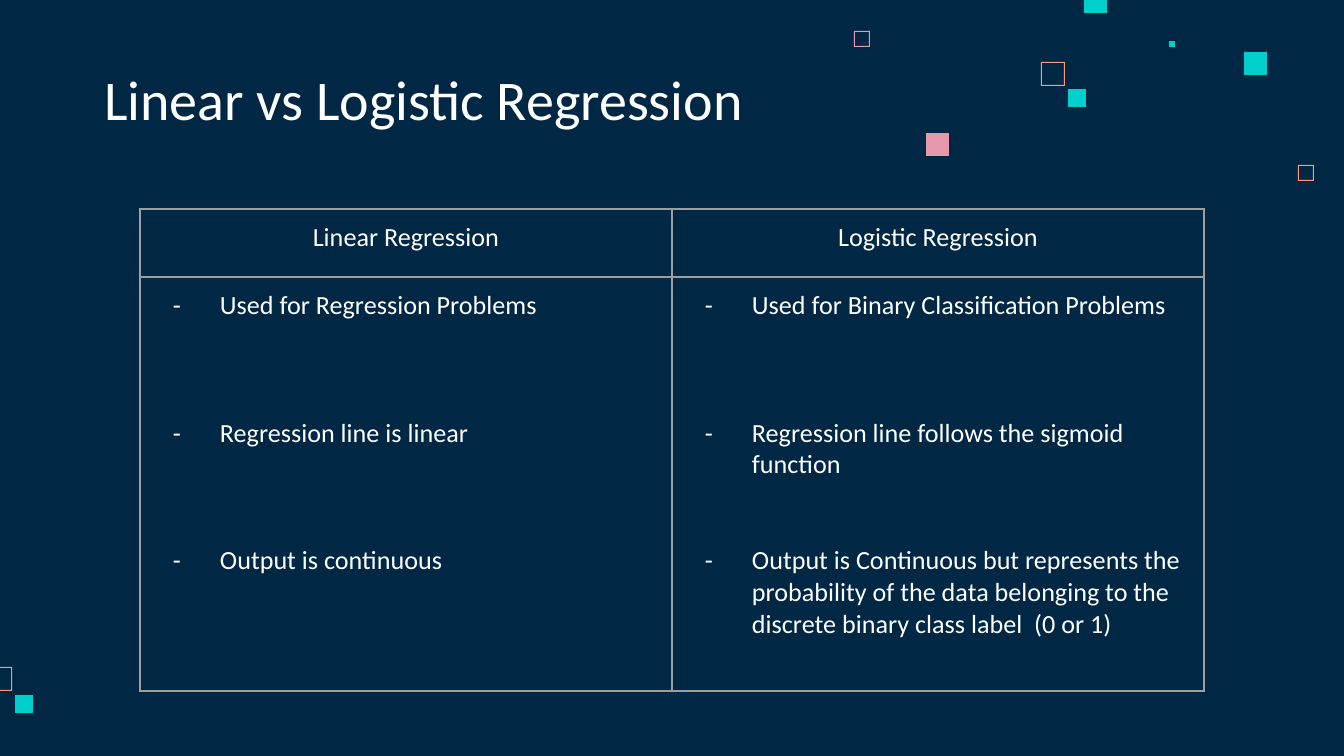
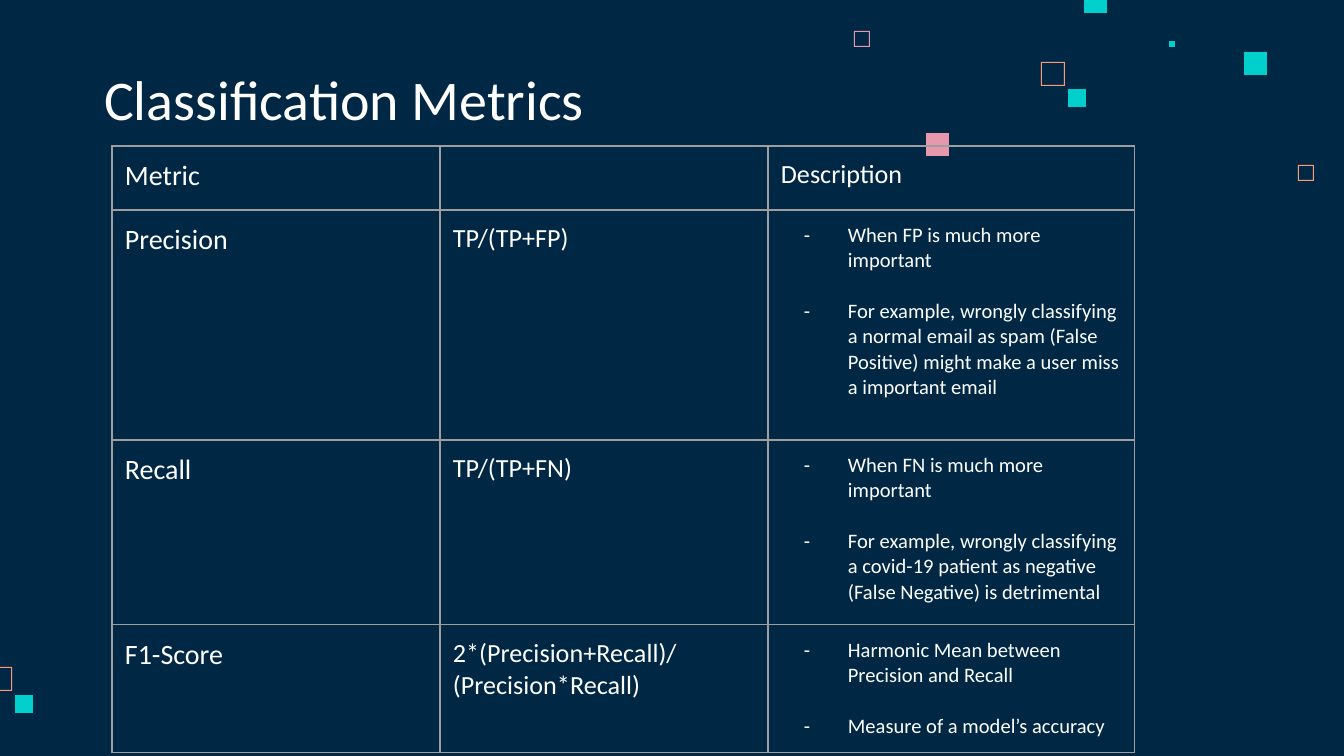
import pptx
import pptx.util
import pptx.dml.color
import pptx.enum.text
import lxml.etree

# Shared style
PX = 914400 / 134.4
FONT = "Calibri"
NAVY, WHITE, GREY = "002845", "FFFFFF", "9E9E9E"
TEAL, PINK, CORAL = "00CFCC", "E898AC", "FF9973"
INSET = 13
HANG = 67
EDGE = 1
TITLE = (91, 60, 695, 85)

# Squares: left, top, side, colour, hollow
SQUARES = [
    (1298, 165, 16, CORAL, True),
    (854, 31, 16, PINK, True),
    (1041, 62, 24, CORAL, True),
    (1169, 41, 6, TEAL, False),
    (1084, -10, 23, TEAL, False),
    (1244, 52, 23, TEAL, False),
    (1068, 89, 18, TEAL, False),
    (926, 133, 23, PINK, False),
    (-12, 667, 24, CORAL, True),
    (15, 695, 18, TEAL, False),
]

# A cell is a plain string or a list of (bullet, blank lines before it)
SLIDES = [
    {
        "title": "Linear vs Logistic Regression",
        "at": (140, 209),
        "cols": [532, 532],
        "rows": [68, 414],
        "sizes": [14, 14],
        "hang": 47,
        "center": True,
        "cells": [
            ["Linear Regression", "Logistic Regression"],
            [
                [("Used for Regression Problems", 0),
                 ("Regression line is linear", 3),
                 ("Output is continuous", 3)],
                [("Used for Binary Classification Problems", 0),
                 ("Regression line follows the sigmoid function", 3),
                 ("Output is Continuous but represents the probability of the "
                  "data belonging to the discrete binary class label  (0 or 1)", 2)],
            ],
        ],
    },
    {
        "title": "Classification Metrics",
        "at": (112, 146),
        "cols": [328, 328, 367],
        "rows": [64, 230, 185, 128],
        "sizes": [15, 14, 11],
        "hang": 44,
        "center": False,
        "cells": [
            ["Metric", "", "Description"],
            ["Precision", "TP/(TP+FP)",
             [("When FP is much more important", 0),
              ("For example, wrongly classifying a normal email as spam (False "
               "Positive) might make a user miss a important email", 1)]],
            ["Recall", "TP/(TP+FN)",
             [("When FN is much more important", 0),
              ("For example, wrongly classifying a covid-19 patient as negative "
               "(False Negative) is detrimental", 1)]],
            ["F1-Score", "2*(Precision+Recall)/(Precision*Recall)",
             [("Harmonic Mean between Precision and Recall", 0),
              ("Measure of a model’s accuracy", 1)]],
        ],
    },
]


def px(n):
    return pptx.util.Emu(round(n * PX))


def rgb(code):
    return pptx.dml.color.RGBColor.from_string(code)


def node(root, tag, **attrs):
    return lxml.etree.SubElement(root, pptx.oxml.ns.qn(tag), attrs)


def write(para, text, size):
    run = para.add_run()
    run.text = text
    run.font.name = FONT
    run.font.size = pptx.util.Pt(size)
    run.font.color.rgb = rgb(WHITE)


def pad(box):
    box.margin_left = box.margin_right = px(INSET)
    box.margin_top = box.margin_bottom = px(INSET)


def square(slide, x, y, side, color, hollow):
    def ring(lo, hi):
        return [(x + lo, y + lo), (x + lo, y + hi), (x + hi, y + hi), (x + hi, y + lo)]

    outer = ring(0, side)
    build = slide.shapes.build_freeform(*outer[0], scale=PX)
    build.add_line_segments(outer[1:], close=True)
    if hollow:
        inner = ring(EDGE, side - EDGE)[::-1]
        build.move_to(*inner[0])
        build.add_line_segments(inner[1:], close=True)
    shape = build.convert_to_shape()
    shape.shadow.inherit = False
    shape.fill.solid()
    shape.fill.fore_color.rgb = rgb(color)
    shape.line.fill.background()


def head(slide, text):
    frame = slide.shapes.add_textbox(*map(px, TITLE)).text_frame
    frame.word_wrap = True
    frame.vertical_anchor = pptx.enum.text.MSO_ANCHOR.BOTTOM
    pad(frame)
    write(frame.paragraphs[0], text, 30)


def border(cell):
    cell.fill.background()
    props = cell._tc.get_or_add_tcPr()
    for i, side in enumerate("LRTB"):
        line = node(props, "a:ln" + side, w="9525")
        node(node(line, "a:solidFill"), "a:srgbClr", val=GREY)
        props.insert(i, line)


def bullet(para, hang):
    props = para._p.get_or_add_pPr()
    props.set("marL", str(px(HANG)))
    props.set("indent", str(-px(hang)))
    node(node(props, "a:buClr"), "a:srgbClr", val=WHITE)
    node(props, "a:buFont", typeface=FONT)
    node(props, "a:buChar", char="-")


def fill(cell, item, size, hang, center):
    pad(cell)
    border(cell)
    frame = cell.text_frame
    para = frame.paragraphs[0]
    if isinstance(item, list):
        for i, (text, gap) in enumerate(item):
            if i:
                para = frame.add_paragraph()
                para.space_before = pptx.util.Pt(round(gap * size * 1.22, 1))
            bullet(para, hang)
            write(para, text, size)
    elif item:
        if center:
            para.alignment = pptx.enum.text.PP_ALIGN.CENTER
        write(para, item, size)
    else:
        para._p.get_or_add_endParaRPr().set("sz", str(size * 100))


def grid(slide, data):
    cols, rows = data["cols"], data["rows"]
    area = (*data["at"], sum(cols), sum(rows))
    table = slide.shapes.add_table(len(rows), len(cols), *map(px, area)).table
    table.first_row = table.horz_banding = False
    for col, width in zip(table.columns, cols):
        col.width = px(width)
    for r, (row, tall) in enumerate(zip(table.rows, rows)):
        row.height = px(tall)
        for c, item in enumerate(data["cells"][r]):
            # Column headings never go below 14 pt
            size = max(data["sizes"][c], 14) if r == 0 else data["sizes"][c]
            fill(table.cell(r, c), item, size, data["hang"], data["center"])


def main():
    deck = pptx.Presentation()
    deck.slide_width, deck.slide_height = px(1344), px(756)
    back = deck.slide_master.background.fill
    back.solid()
    back.fore_color.rgb = rgb(NAVY)
    for data in SLIDES:
        slide = deck.slides.add_slide(deck.slide_layouts[6])
        for spot in SQUARES:
            square(slide, *spot)
        head(slide, data["title"])
        grid(slide, data)
    deck.save("out.pptx")


if __name__ == "__main__":
    main()
